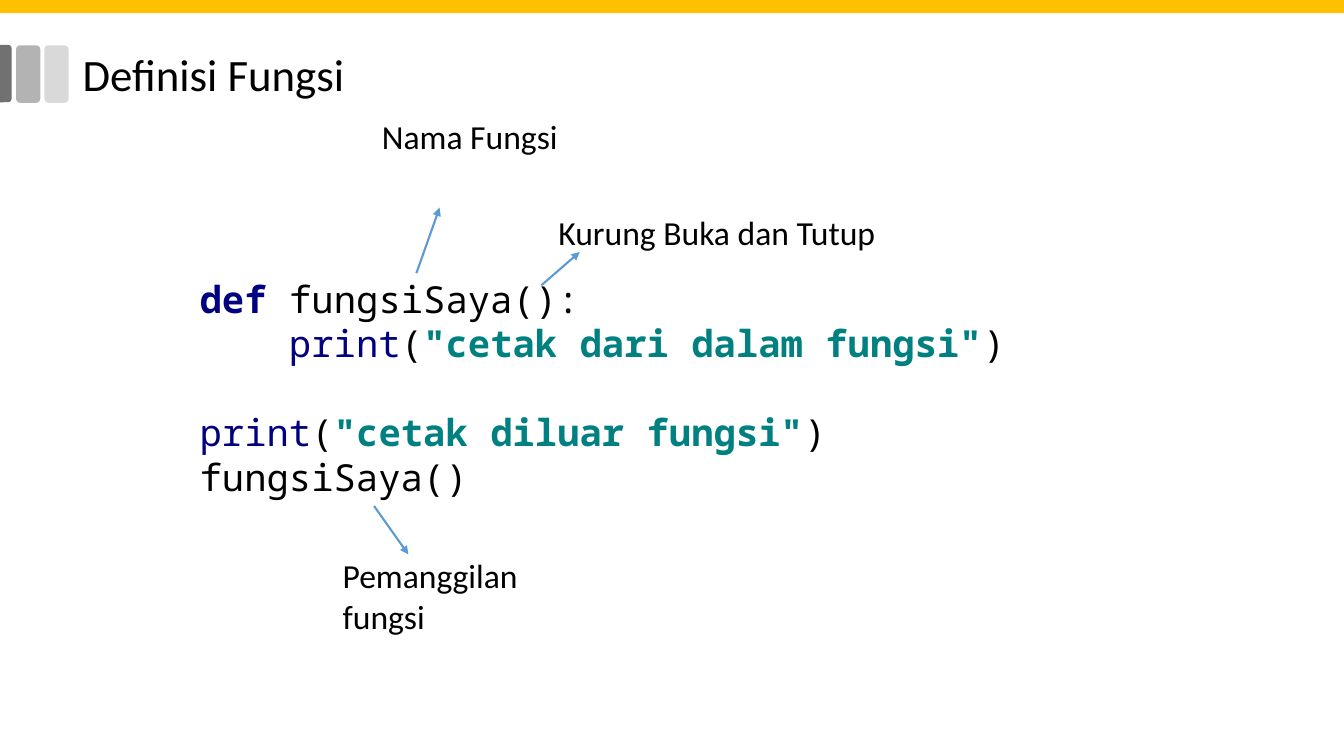
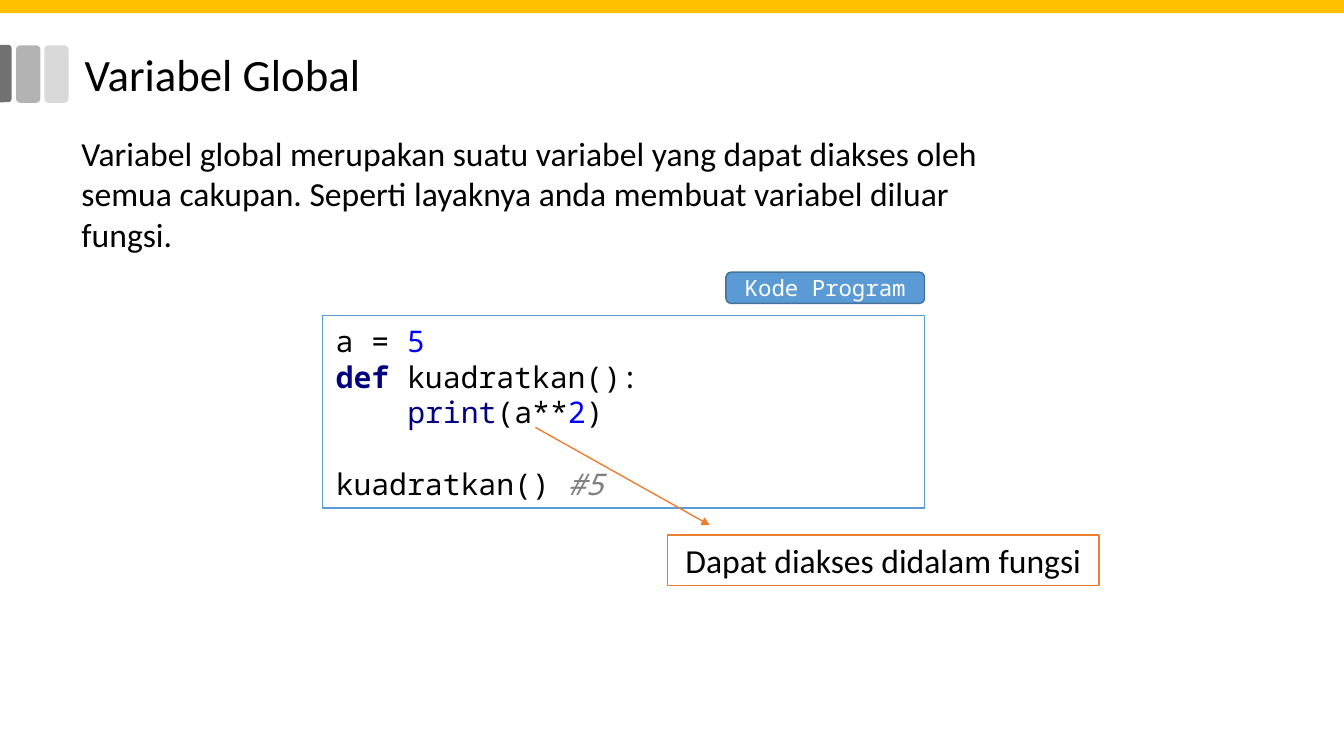
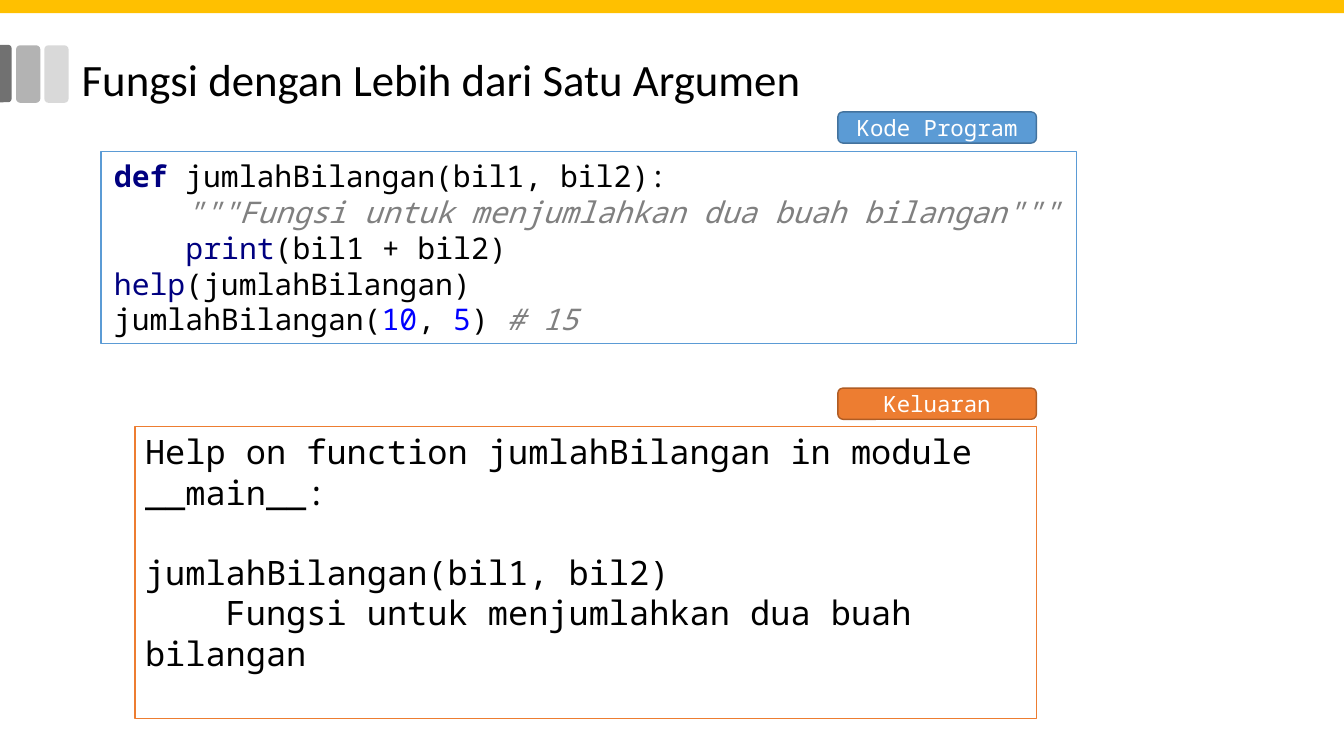
import pptx
from pptx.dml.color import RGBColor
from pptx.enum.shapes import MSO_CONNECTOR, MSO_SHAPE
from pptx.enum.text import MSO_ANCHOR, MSO_AUTO_SIZE, PP_ALIGN
from pptx.oxml.ns import qn
from pptx.util import Inches, Pt
from lxml import etree

WIDTH, HEIGHT = 13.33, 7.5
BLACK = RGBColor(0x00, 0x00, 0x00)
WHITE = RGBColor(0xFF, 0xFF, 0xFF)
AMBER = RGBColor(0xFF, 0xC0, 0x00)
BLUE = RGBColor(0x5B, 0x9B, 0xD5)
DARK_BLUE = RGBColor(0x43, 0x72, 0x9D)
ORANGE = RGBColor(0xED, 0x7D, 0x31)
DARK_ORANGE = RGBColor(0xAF, 0x5C, 0x24)
NAVY = RGBColor(0x00, 0x00, 0x80)
TEAL = RGBColor(0x00, 0x80, 0x80)
PURE_BLUE = RGBColor(0x00, 0x00, 0xFF)
GRAY = RGBColor(0x80, 0x80, 0x80)
DARK_GRAY = RGBColor(0x71, 0x71, 0x71)
MID_GRAY = RGBColor(0xB3, 0xB3, 0xB3)
LIGHT_GRAY = RGBColor(0xD9, 0xD9, 0xD9)

SANS, MONO = "Calibri", "Noto Sans Mono"
MONO_ADVANCE, MONO_LINE = 0.6, 1.19  # shares of the font size

# Token styles: colour, bold, italic
PLAIN = (BLACK, False, False)
KEYWORD = (NAVY, True, False)
BUILTIN = (NAVY, False, False)
STRING = (TEAL, True, False)
NUMBER = (PURE_BLUE, False, False)
COMMENT = (GRAY, False, True)
CAPTION = (WHITE, False, False)

# Each line is (indent in characters, tokens); None is an empty line.
DEFINITION_CODE = [
    (0, [("def ", KEYWORD), ("fungsiSaya():", PLAIN)]),
    (4, [("print", BUILTIN), ("(", PLAIN), ('"cetak dari dalam fungsi"', STRING), (")", PLAIN)]),
    None,
    (0, [("print", BUILTIN), ("(", PLAIN), ('"cetak diluar fungsi"', STRING), (")", PLAIN)]),
    (0, [("fungsiSaya()", PLAIN)]),
]
GLOBAL_CODE = [
    (0, [("a = ", PLAIN), ("5", NUMBER)]),
    (0, [("def ", KEYWORD), ("kuadratkan():", PLAIN)]),
    (4, [("print", BUILTIN), ("(a**", PLAIN), ("2", NUMBER), (")", PLAIN)]),
    None,
    (0, [("kuadratkan() ", PLAIN), ("#5", COMMENT)]),
]
ARGUMENT_CODE = [
    (0, [("def ", KEYWORD), ("jumlahBilangan(bil1, bil2):", PLAIN)]),
    (4, [('"""Fungsi untuk menjumlahkan dua buah bilangan"""', COMMENT)]),
    (4, [("print", BUILTIN), ("(bil1 + bil2)", PLAIN)]),
    (0, [("help", BUILTIN), ("(jumlahBilangan)", PLAIN)]),
    (0, [("jumlahBilangan(", PLAIN), ("10", NUMBER), (", ", PLAIN), ("5", NUMBER),
         (") ", PLAIN), ("# 15", COMMENT)]),
]
HELP_OUTPUT = [
    (0, [("Help on function jumlahBilangan in module __main__:", PLAIN)]),
    None,
    (0, [("jumlahBilangan(bil1, bil2)", PLAIN)]),
    (4, [("Fungsi untuk menjumlahkan dua buah bilangan", PLAIN)]),
]
GLOBAL_TEXT = ("Variabel global merupakan suatu variabel yang dapat diakses oleh semua cakupan. "
               "Seperti layaknya anda membuat variabel diluar fungsi.")

# Label text, its area, and the arrow's start and end
DEFINITION_LABELS = [
    ("Nama Fungsi", (3.69, 1.1, 2.06, 0.5), (4.13, 2.71), (4.36, 2.06)),
    ("Kurung Buka dan Tutup", (5.44, 2.05, 4, 0.5), (5.37, 2.83), (5.75, 2.5)),
    ("Pemanggilan fungsi", (3.3, 5.46, 2.7, 0.9), (3.71, 5.02), (4.05, 5.5)),
]


def inches(lengths):
    return [Inches(length) for length in lengths]


def add_box(slide, area, fill=None, line=None, preset=MSO_SHAPE.RECTANGLE):
    shape = slide.shapes.add_shape(preset, *inches(area))
    shape.shadow.inherit = False
    if fill is None:
        shape.fill.background()
    else:
        shape.fill.solid()
        shape.fill.fore_color.rgb = fill
    if line is None:
        shape.line.fill.background()
    else:
        shape.line.color.rgb = line
        shape.line.width = Pt(1)
    return shape


def write(shape, lines, size, font, margins=(0.1, 0.05, 0.1, 0.05),
          anchor=MSO_ANCHOR.TOP, align=PP_ALIGN.LEFT):
    """Fill a shape with lines of styled tokens, one paragraph a line."""
    frame = shape.text_frame
    frame.word_wrap = True
    frame.auto_size = MSO_AUTO_SIZE.NONE
    frame.vertical_anchor = anchor
    (frame.margin_left, frame.margin_top,
     frame.margin_right, frame.margin_bottom) = inches(margins)
    paragraph, gap = frame.paragraphs[0], 0
    for number, line in enumerate(lines):
        if line is None:
            gap += MONO_LINE * size
            continue
        if number:
            paragraph = frame.add_paragraph()
        indent, tokens = line
        paragraph.alignment = align
        paragraph.space_before = Pt(gap)
        gap = 0
        if indent:
            properties = paragraph._p.get_or_add_pPr()
            properties.set("marL", "0")
            properties.set("indent", str(Pt(indent * MONO_ADVANCE * size)))
        for text, (color, bold, italic) in tokens:
            run = paragraph.add_run()
            run.text = text
            run.font.name, run.font.size = font, Pt(size)
            run.font.color.rgb = color
            run.font.bold, run.font.italic = bold, italic


def add_label(slide, text, area, line=None, align=PP_ALIGN.LEFT):
    write(add_box(slide, area, line=line), [(0, [(text, PLAIN)])], 24, SANS, align=align)


def add_code(slide, lines, area, size, line=None):
    write(add_box(slide, area, WHITE, line), lines, size, MONO,
          margins=(0.13, 0.07, 0, 0.07), anchor=MSO_ANCHOR.MIDDLE)


def add_badge(slide, text, right, top, fill, line):
    width = 1.97
    badge = add_box(slide, (right - width, top, width, 0.31), fill, line,
                    MSO_SHAPE.ROUNDED_RECTANGLE)
    write(badge, [(0, [(text, CAPTION)])], 16, MONO,
          anchor=MSO_ANCHOR.MIDDLE, align=PP_ALIGN.CENTER)


def add_arrow(slide, start, end, color, width):
    arrow = slide.shapes.add_connector(MSO_CONNECTOR.STRAIGHT, *inches(start + end))
    arrow.line.color.rgb = color
    arrow.line.width = Pt(width)
    etree.SubElement(arrow.line._get_or_add_ln(), qn("a:tailEnd"), type="triangle")
    etree.SubElement(arrow.element.spPr, qn("a:effectLst"))


def decorate_layout(slide):
    """Draw the band and title bars, then move them to the slide's layout."""
    bars = [add_box(slide, (left, 0.45, 0.24, 0.57), fill,
                    preset=MSO_SHAPE.ROUNDED_RECTANGLE)
            for left, fill in ((0.44, LIGHT_GRAY), (0.16, MID_GRAY))]
    edge_bar = add_box(slide, (-0.23, 0.67, 0.57, 0.12), DARK_GRAY,
                       preset=MSO_SHAPE.ROUND_2_SAME_RECTANGLE)
    edge_bar.rotation = 90
    edge_bar.adjustments[0] = 0.29
    band = add_box(slide, (0, -0.03, WIDTH, 0.16), AMBER)
    for shape in bars + [edge_bar, band]:
        slide.slide_layout.shapes.element.append(shape.element)


def add_slide(presentation, title, left, top):
    slide = presentation.slides.add_slide(presentation.slide_layouts[5])
    placeholder = slide.shapes.title
    (placeholder.left, placeholder.top,
     placeholder.width, placeholder.height) = inches((left, top, 11.5, 0.81))
    write(placeholder, [(0, [(title, PLAIN)])], 32, SANS, margins=(0.13,) * 4)
    placeholder.text_frame.paragraphs[0].line_spacing = 0.9
    return slide


def build_definition(presentation):
    slide = add_slide(presentation, "Definisi Fungsi", 0.69, 0.39)
    decorate_layout(slide)
    add_code(slide, DEFINITION_CODE, (1.85, 2.67, 9.64, 2.35), 26.6)
    for text, area, start, end in DEFINITION_LABELS:
        add_arrow(slide, start, end, BLUE, 1.5)
        add_label(slide, text, area)


def build_global(presentation):
    slide = add_slide(presentation, "Variabel Global", 0.71, 0.39)
    add_label(slide, GLOBAL_TEXT, (0.71, 1.27, 9.72, 1.3))
    add_code(slide, GLOBAL_CODE, (3.2, 3.13, 5.97, 1.91), 21.3, BLUE)
    add_badge(slide, "Kode Program", 9.17, 2.7, BLUE, DARK_BLUE)
    add_arrow(slide, (5.31, 4.24), (7.04, 5.21), ORANGE, 1)
    add_label(slide, "Dapat diakses didalam fungsi", (6.62, 5.31, 4.28, 0.5),
              ORANGE, PP_ALIGN.CENTER)


def build_arguments(presentation):
    slide = add_slide(presentation, "Fungsi dengan Lebih dari Satu Argumen", 0.68, 0.44)
    add_code(slide, ARGUMENT_CODE, (1, 1.5, 9.68, 1.91), 21.3, BLUE)
    write(add_box(slide, (1.34, 4.23, 8.94, 2.9), line=ORANGE), HELP_OUTPUT, 24, MONO)
    add_badge(slide, "Kode Program", 10.28, 1.11, BLUE, DARK_BLUE)
    add_badge(slide, "Keluaran", 10.28, 3.85, ORANGE, DARK_ORANGE)


def main():
    presentation = pptx.Presentation()
    presentation.slide_width, presentation.slide_height = inches((WIDTH, HEIGHT))
    for build in (build_definition, build_global, build_arguments):
        build(presentation)
    presentation.save("out.pptx")


if __name__ == "__main__":
    main()
